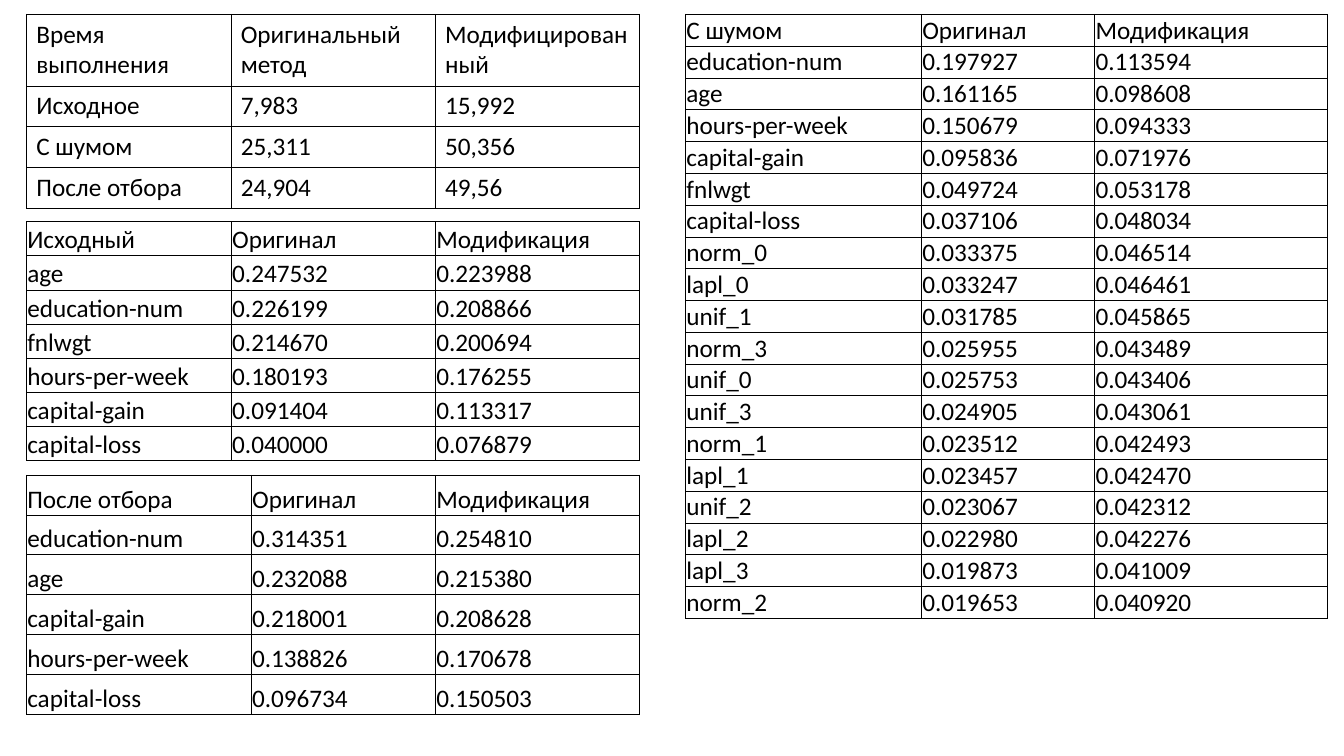
"""Builds a slide with four tables: running times and feature importances."""
import pptx
import pptx.dml.color
import pptx.enum.text
import pptx.oxml
import pptx.oxml.ns
import pptx.util

TEXT = "000000"
BORDER = "000000"
FONT = "Calibri"
FONT_SIZE = 18

TIMES = [
    ("Время выполнения", "Оригинальный метод", "Модифицированный"),
    ("Исходное", "7,983", "15,992"),
    ("С шумом", "25,311", "50,356"),
    ("После отбора", "24,904", "49,56"),
]
INITIAL = [
    ("Исходный", "Оригинал", "Модификация"),
    ("age", "0.247532", "0.223988"),
    ("education-num", "0.226199", "0.208866"),
    ("fnlwgt", "0.214670", "0.200694"),
    ("hours-per-week", "0.180193", "0.176255"),
    ("capital-gain", "0.091404", "0.113317"),
    ("capital-loss", "0.040000", "0.076879"),
]
NOISY = [
    ("С шумом", "Оригинал", "Модификация"),
    ("education-num", "0.197927", "0.113594"),
    ("age", "0.161165", "0.098608"),
    ("hours-per-week", "0.150679", "0.094333"),
    ("capital-gain", "0.095836", "0.071976"),
    ("fnlwgt", "0.049724", "0.053178"),
    ("capital-loss", "0.037106", "0.048034"),
    ("norm_0", "0.033375", "0.046514"),
    ("lapl_0", "0.033247", "0.046461"),
    ("unif_1", "0.031785", "0.045865"),
    ("norm_3", "0.025955", "0.043489"),
    ("unif_0", "0.025753", "0.043406"),
    ("unif_3", "0.024905", "0.043061"),
    ("norm_1", "0.023512", "0.042493"),
    ("lapl_1", "0.023457", "0.042470"),
    ("unif_2", "0.023067", "0.042312"),
    ("lapl_2", "0.022980", "0.042276"),
    ("lapl_3", "0.019873", "0.041009"),
    ("norm_2", "0.019653", "0.040920"),
]
SELECTED = [
    ("После отбора", "Оригинал", "Модификация"),
    ("education-num", "0.314351", "0.254810"),
    ("age", "0.232088", "0.215380"),
    ("capital-gain", "0.218001", "0.208628"),
    ("hours-per-week", "0.138826", "0.170678"),
    ("capital-loss", "0.096734", "0.150503"),
]


def color(hex_string):
    """Return the colour for a hex string."""
    return pptx.dml.color.RGBColor.from_string(hex_string)


def add_borders(cell):
    """Draw a thin line on all four sides of a cell."""
    properties = cell._tc.get_or_add_tcPr()
    for position, side in enumerate(("lnL", "lnR", "lnT", "lnB")):
        line = pptx.oxml.parse_xml(
            f'<a:{side} {pptx.oxml.ns.nsdecls("a")} w="{pptx.util.Pt(0.25)}">'
            f'<a:solidFill><a:srgbClr val="{BORDER}"/></a:solidFill></a:{side}>')
        properties.insert(position, line)


def write_cell(cell, text, compact):
    """Put text in a cell, with tight margins and bottom alignment if compact."""
    cell.fill.background()
    add_borders(cell)
    if compact:
        cell.margin_left = cell.margin_right = cell.margin_top = pptx.util.Pt(0.72)
        cell.margin_bottom = 0
        cell.vertical_anchor = pptx.enum.text.MSO_ANCHOR.BOTTOM
    run = cell.text_frame.paragraphs[0].add_run()
    run.text = text
    run.font.name = FONT
    run.font.size = pptx.util.Pt(FONT_SIZE)
    run.font.color.rgb = color(TEXT)


def add_grid(slide, box, widths, rows, header_height=None, compact=True):
    """Fill a box with a table whose rows below the header are equally high."""
    left, top, width, height = box
    frame = slide.shapes.add_table(len(rows), len(widths), *map(pptx.util.Pt, box))
    table = frame.table
    table.first_row = table.horz_banding = False
    for column, column_width in zip(table.columns, widths):
        column.width = pptx.util.Pt(column_width)
    if header_height:
        body_height = (height - header_height) / (len(rows) - 1)
        for index, row in enumerate(table.rows):
            row.height = pptx.util.Pt(body_height if index else header_height)
    for row_index, row in enumerate(rows):
        for column_index, text in enumerate(row):
            write_cell(table.cell(row_index, column_index), text, compact)


def main():
    """Build the slide and save it."""
    presentation = pptx.Presentation()
    presentation.slide_width = pptx.util.Pt(960)
    presentation.slide_height = pptx.util.Pt(540)
    slide = presentation.slides.add_slide(presentation.slide_layouts[6])

    left, top, width = 18.8, 10.1, 438
    add_grid(slide, (left, top, width, 138), (146, 146, 146), TIMES,
             header_height=50.4, compact=False)
    add_grid(slide, (left, 158.2, width, 170.6), (146.4, 145.8, 145.8), INITIAL)
    add_grid(slide, (489.6, top, 458.6, 424.8), (168.5, 123.8, 166.3), NOISY)
    add_grid(slide, (left, 339.3, width, 170.6), (160.6, 131.6, 145.8), SELECTED)

    presentation.save("out.pptx")


if __name__ == "__main__":
    main()
